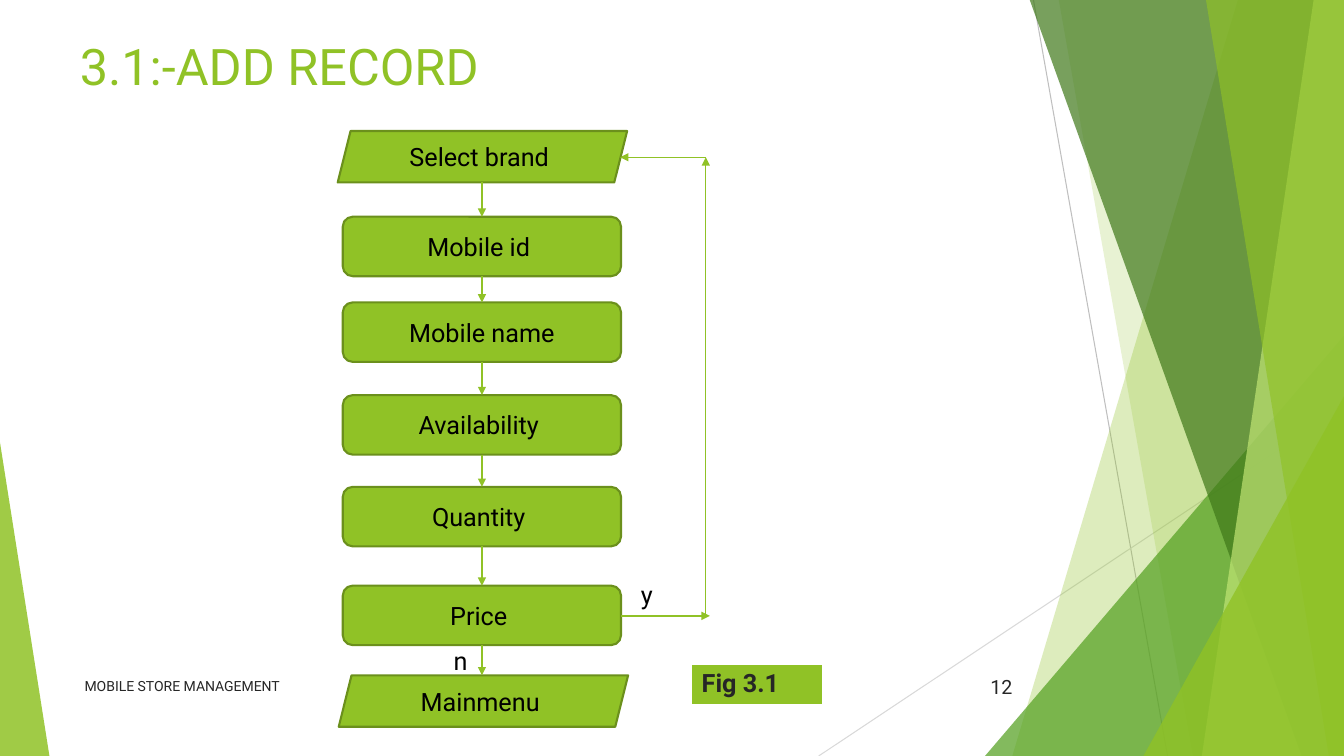
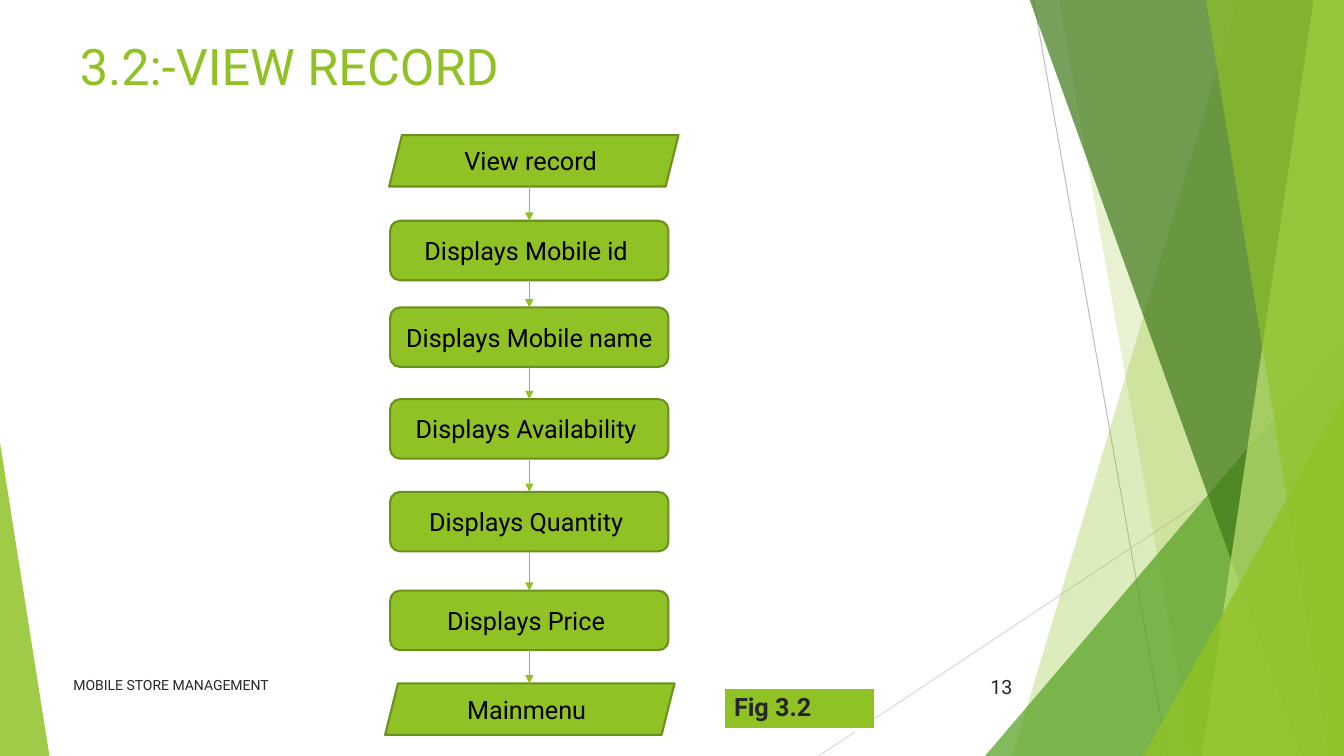
"""Builds two flowchart slides on a green faceted backdrop."""
from itertools import pairwise

from lxml.etree import SubElement
from pptx import Presentation
from pptx.dml.color import RGBColor
from pptx.enum.shapes import MSO_CONNECTOR as Link, MSO_SHAPE as Preset
from pptx.enum.text import MSO_ANCHOR as Anchor, PP_ALIGN as Align
from pptx.oxml.ns import qn
from pptx.util import Inches, Pt

WIDTH, HEIGHT = 13.33, 7.5
GREEN, EDGE, INK, BLACK, WHITE = "90C226", "6B901C", "262626", "000000", "FFFFFF"
FONT = "Roboto"
BOX_WIDTH, BOX_HEIGHT = 2.76, 0.59
END_WIDTH, END_HEIGHT = 2.87, 0.51

RAYS = [((10.25, 0), (11.58, HEIGHT), "BFBFBF"),
        ((WIDTH, 4.03), (8.12, HEIGHT), "D9D9D9")]
LEFT, RIGHT = 0, 1
BANDS_BEHIND = [(12.28, 10.04, GREEN, 30), (10.5, 11.83, GREEN, 20)]
MIDDLE_PEAK = ((9.77, 3.33, 3.56, 4.17), RIGHT, "54A021", 72)
BANDS_IN_FRONT = [(10.21, 12.91, "3F7819", 70), (13.03, 11.92, "C0E474", 70),
                  (11.96, 13.18, GREEN, 65)]
CORNER_PEAKS = [((11.34, 3.93, 1.99, 3.57), RIGHT, GREEN, 80),
                ((0, 4.39, 0.49, 3.11), LEFT, GREEN, 85)]


def colour(code):
    return RGBColor.from_string(code)


def inches(*lengths):
    return [Inches(length) for length in lengths]


class Deck:
    def __init__(self):
        self.file = Presentation()
        self.file.slide_width, self.file.slide_height = inches(WIDTH, HEIGHT)
        self.shapes = None

    def new_slide(self):
        self.shapes = self.file.slides.add_slide(self.file.slide_layouts[6]).shapes
        for start, end, shade in RAYS:
            self.line(start, end, shade, 0.75)
        for facet in BANDS_BEHIND:
            self.band(*facet)
        self.peak(*MIDDLE_PEAK)
        for facet in BANDS_IN_FRONT:
            self.band(*facet)
        for facet in CORNER_PEAKS:
            self.peak(*facet)

    def put_words(self, frame, words, size, shade=BLACK, align=Align.LEFT,
                  anchor=Anchor.MIDDLE, wrap=True, bold=False):
        for name, value in {"word_wrap": wrap, "vertical_anchor": anchor}.items():
            setattr(frame, name, value)
        paragraph = frame.paragraphs[0]
        paragraph.alignment = align
        run = paragraph.add_run()
        run.text = words
        run.font.color.rgb = colour(shade)
        for name, value in {"name": FONT, "size": Pt(size), "bold": bold}.items():
            setattr(run.font, name, value)

    def label(self, place, words, size, shade=BLACK, **style):
        frame = self.shapes.add_textbox(*inches(*place)).text_frame
        self.put_words(frame, words, size, shade, **style)

    def paint(self, shape, shade, opacity=100):
        shape.shadow.inherit = False
        shape.fill.solid()
        shape.fill.fore_color.rgb = colour(shade)
        shape.line.fill.background()
        if opacity < 100:
            tint = shape._element.spPr.find(qn("a:solidFill")).find(qn("a:srgbClr"))
            SubElement(tint, qn("a:alpha"), val=str(opacity * 1000))

    def band(self, top_x, bottom_x, shade, opacity):
        corners = [(WIDTH, -0.01), (WIDTH, HEIGHT), (bottom_x, HEIGHT)]
        outline = self.shapes.build_freeform(*inches(top_x, -0.01))
        outline.add_line_segments([inches(*corner) for corner in corners], close=True)
        self.paint(outline.convert_to_shape(), shade, opacity)

    def peak(self, place, apex, shade, opacity):
        triangle = self.shapes.add_shape(Preset.ISOSCELES_TRIANGLE, *inches(*place))
        triangle.adjustments[0] = apex
        self.paint(triangle, shade, opacity)

    def line(self, start, end, shade=GREEN, width=1):
        link = self.shapes.add_connector(Link.STRAIGHT, *inches(*start, *end))
        link.line.color.rgb = colour(shade)
        link.line.width = Pt(width)
        SubElement(link._element.spPr, qn("a:effectLst"))
        return link

    def arrow(self, start, end):
        stroke = self.line(start, end)._element.spPr.find(qn("a:ln"))
        SubElement(stroke, qn("a:tailEnd"), type="triangle")

    def step(self, preset, place, words):
        box = self.shapes.add_shape(preset, *inches(*place))
        self.paint(box, GREEN)
        box.line.color.rgb = colour(EDGE)
        box.line.width = Pt(1.5)
        self.put_words(box.text_frame, words, 18, align=Align.CENTER)

    def flow(self, left, first_left, last_left, steps):
        centre = left + BOX_WIDTH / 2
        end_lefts = {0: first_left, len(steps) - 1: last_left}
        spans = []
        for index, (top, words) in enumerate(steps):
            if index in end_lefts:
                preset, place = Preset.PARALLELOGRAM, (end_lefts[index], top, END_WIDTH, END_HEIGHT)
            else:
                preset, place = Preset.ROUNDED_RECTANGLE, (left, top, BOX_WIDTH, BOX_HEIGHT)
            self.step(preset, place, words)
            spans.append((top, top + place[3]))
        for (_, bottom), (next_top, _) in pairwise(spans):
            self.arrow((centre, bottom), (centre, next_top))

    def caption(self, left, top, width, words):
        table = self.shapes.add_table(1, 1, *inches(left, top, width, 0.41)).table
        table.first_row = table.horz_banding = False
        cell = table.cell(0, 0)
        borders = cell._tc.get_or_add_tcPr()
        for side, weight in {"L": 1, "R": 1, "T": 1, "B": 3}.items():
            border = SubElement(borders, qn("a:ln" + side), w=str(Pt(weight)))
            SubElement(SubElement(border, qn("a:solidFill")), qn("a:srgbClr"), val=WHITE)
        cell.fill.solid()
        cell.fill.fore_color.rgb = colour(GREEN)
        self.put_words(cell.text_frame, words, 18, INK, anchor=Anchor.TOP, bold=True)

    def title(self, words):
        self.label((0.57, 0.26, 9.26, 0.78), words, 36, GREEN)

    def footer(self, left, top, number):
        self.label((9.39, 6.61, 0.75, 0.4), str(number), 14, INK, align=Align.RIGHT)
        self.label((left, top, 6.89, 0.4), "MOBILE STORE MANAGEMENT", 10, INK)


def add_record(deck):
    deck.new_slide()
    deck.title(" 3.1:-ADD RECORD")
    deck.flow(3.4, 3.35, 3.36, [
        (1.3, "Select brand "), (2.15, "Mobile id "), (3, "Mobile name"),
        (3.92, "Availability "), (4.83, "Quantity "), (5.81, "Price "),
        (6.7, "Mainmenu ")])
    deck.arrow((6.16, 6.11), (7.04, 6.11))
    deck.arrow((7, 6.11), (7, 1.56))
    deck.arrow((7, 1.56), (6.15, 1.56))
    for answer, left, top in [("y", 6.25, 5.7), ("n", 4.4, 6.35)]:
        deck.label((left, top, 0.33, 0.4), answer, 18, align=Align.CENTER,
                   anchor=Anchor.TOP, wrap=False)
    deck.caption(6.86, 6.59, 1.3, "Fig 3.1")
    deck.footer(0.74, 6.61, 12)


def view_record(deck):
    deck.new_slide()
    deck.title(" 3.2:-VIEW RECORD")
    deck.flow(3.87, 3.86, 3.82, [
        (1.34, "View record "), (2.19, "Displays Mobile id "),
        (3.05, "Displays Mobile name"), (3.96, "Displays Availability "),
        (4.88, "Displays Quantity "), (5.86, "Displays Price "),
        (6.78, "Mainmenu ")])
    deck.caption(7.18, 6.83, 1.49, "Fig 3.2")
    deck.footer(0.63, 6.59, 13)


def main():
    deck = Deck()
    add_record(deck)
    view_record(deck)
    deck.file.save("out.pptx")


if __name__ == "__main__":
    main()
